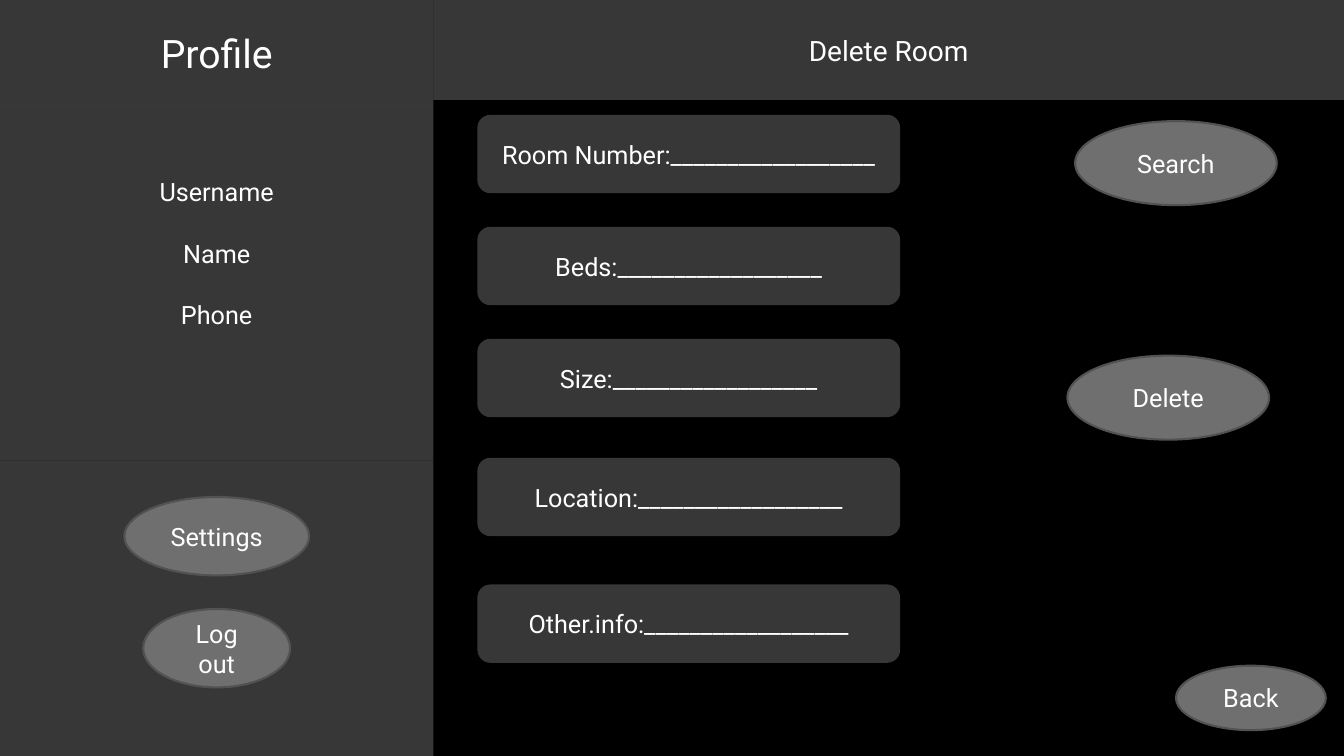
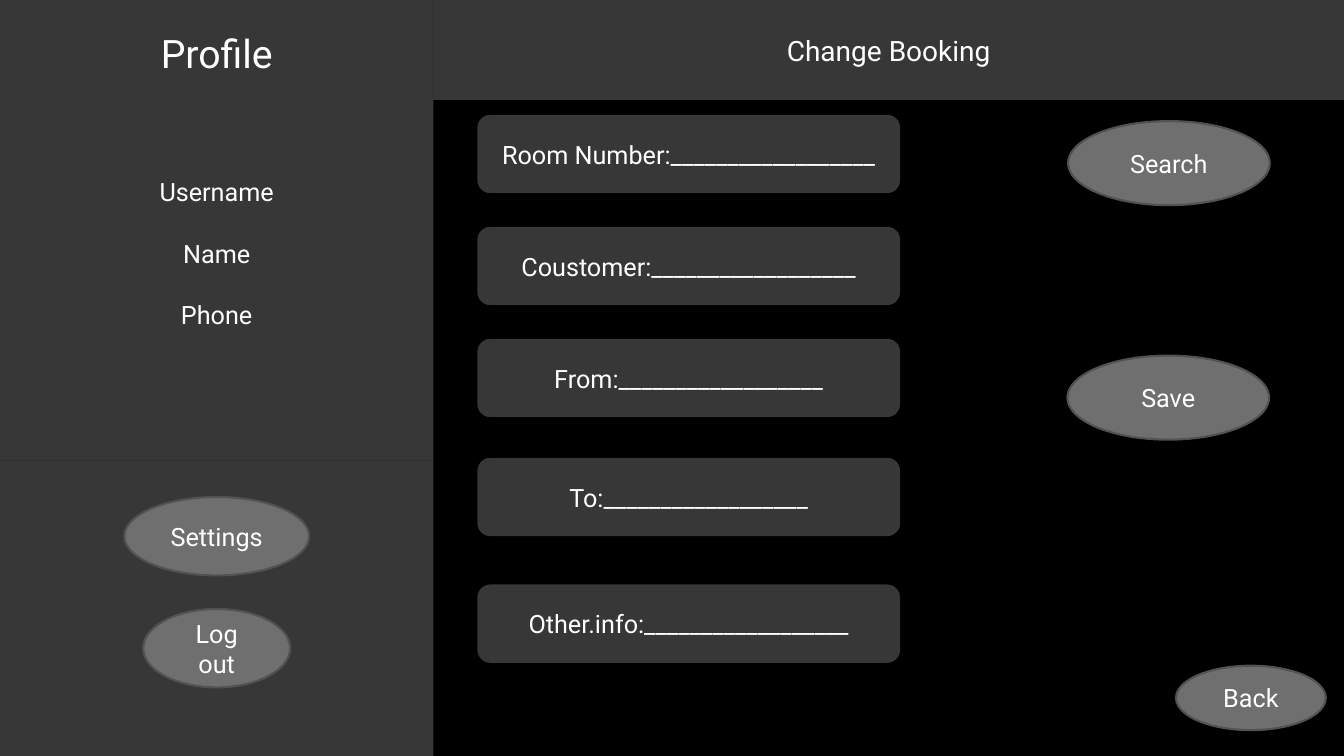
from pptx import Presentation
from pptx.dml.color import RGBColor
from pptx.enum.shapes import MSO_SHAPE
from pptx.enum.text import MSO_ANCHOR, PP_ALIGN
from pptx.oxml.ns import qn
from pptx.util import Pt
from lxml import etree

RECTANGLE = MSO_SHAPE.RECTANGLE
ROUNDED = MSO_SHAPE.ROUNDED_RECTANGLE
OVAL = MSO_SHAPE.OVAL
MIDDLE = MSO_ANCHOR.MIDDLE
CENTER = PP_ALIGN.CENTER

COLORS = {"background": "000000", "surface": "6F6F6F", "outline": "525252", "text": "FFFFFF"}
FONT = "Roboto"
SLIDE_WIDTH, SLIDE_HEIGHT = 960, 540
SIDEBAR_WIDTH = 309.6
PROFILE_HEIGHT, ACTIONS_TOP = 75.6, 329
FIELD_TOPS = [82, 162, 242, 327, 417.5]
BLANK_LINE = "_" * 18

SCREENS = [
    {"title": "Delete Room",
     "fields": ["Room Number:", "Beds:", "Size:", "Location:", "Other.info:"],
     "action": "Delete", "search_left": 768},
    {"title": "Change Booking",
     "fields": ["Room Number:", "Coustomer:", "From:", "To:", "Other.info:"],
     "action": "Save", "search_left": 763},
]


def add_box(page, text, left, top, width, height, kind=RECTANGLE, size=18, gap=0, bottom=3.6):
    box = page.shapes.add_shape(kind, Pt(left), Pt(top), Pt(width), Pt(height))
    box.shadow.inherit = False
    box.fill.solid()
    box.fill.fore_color.rgb = RGBColor.from_string(COLORS["surface"])
    if kind == OVAL:
        box.line.color.rgb = RGBColor.from_string(COLORS["outline"])
        box.line.width = Pt(1.5)
    else:
        box.line.fill.background()
        color = next(box.element.spPr.iter(qn("a:srgbClr")))
        etree.SubElement(color, qn("a:alpha")).set("val", "50000")
    frame = box.text_frame
    frame.word_wrap = True
    frame.vertical_anchor = MIDDLE
    frame.margin_bottom = Pt(bottom)
    for index, line in enumerate(text.splitlines()):
        para = frame.add_paragraph() if index else frame.paragraphs[0]
        para.alignment = CENTER
        para.space_before = Pt(gap if index else 0)
        span = para.add_run()
        span.text = line
        span.font.name = FONT
        span.font.size = Pt(size)
        span.font.color.rgb = RGBColor.from_string(COLORS["text"])
    return box


deck = Presentation()
deck.slide_width, deck.slide_height = Pt(SLIDE_WIDTH), Pt(SLIDE_HEIGHT)

for screen in SCREENS:
    page = deck.slides.add_slide(deck.slide_layouts[6])
    page.background.fill.solid()
    page.background.fill.fore_color.rgb = RGBColor.from_string(COLORS["background"])

    add_box(page, "", 0, ACTIONS_TOP, SIDEBAR_WIDTH, SLIDE_HEIGHT - ACTIONS_TOP)
    add_box(page, "Profile", 0, 0, SIDEBAR_WIDTH, PROFILE_HEIGHT, size=28)
    add_box(page, "Username\nName\nPhone", 0, PROFILE_HEIGHT, SIDEBAR_WIDTH,
            ACTIONS_TOP - PROFILE_HEIGHT, gap=22, bottom=46.8)
    for label, top, width in [("Settings", 355, 132), ("Log out", 435, 105)]:
        add_box(page, label, (SIDEBAR_WIDTH - width) / 2, top, width, 56, kind=OVAL)

    add_box(page, screen["title"], SIDEBAR_WIDTH, 0, SLIDE_WIDTH - SIDEBAR_WIDTH, 71.3, size=20)
    for label, top in zip(screen["fields"], FIELD_TOPS):
        add_box(page, label + BLANK_LINE, 341, top, 302, 56, kind=ROUNDED)

    for label, left, top in [("Search", screen["search_left"], 86.5),
                             (screen["action"], 762.5, 254)]:
        add_box(page, label, left, top, 144, 60, kind=OVAL)
    add_box(page, "Back", 840, 475.5, 107, 46, kind=OVAL)

deck.save("out.pptx")
